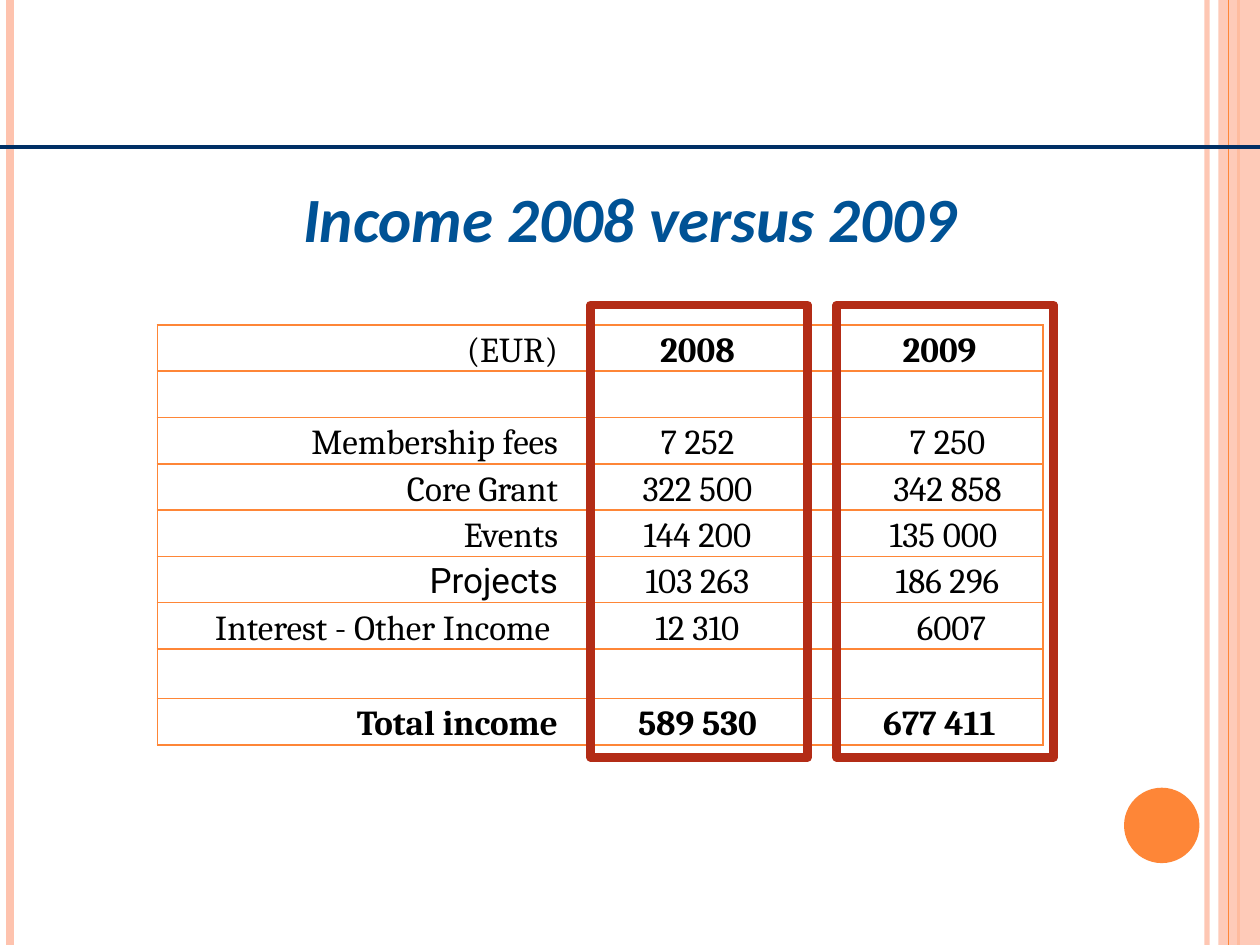
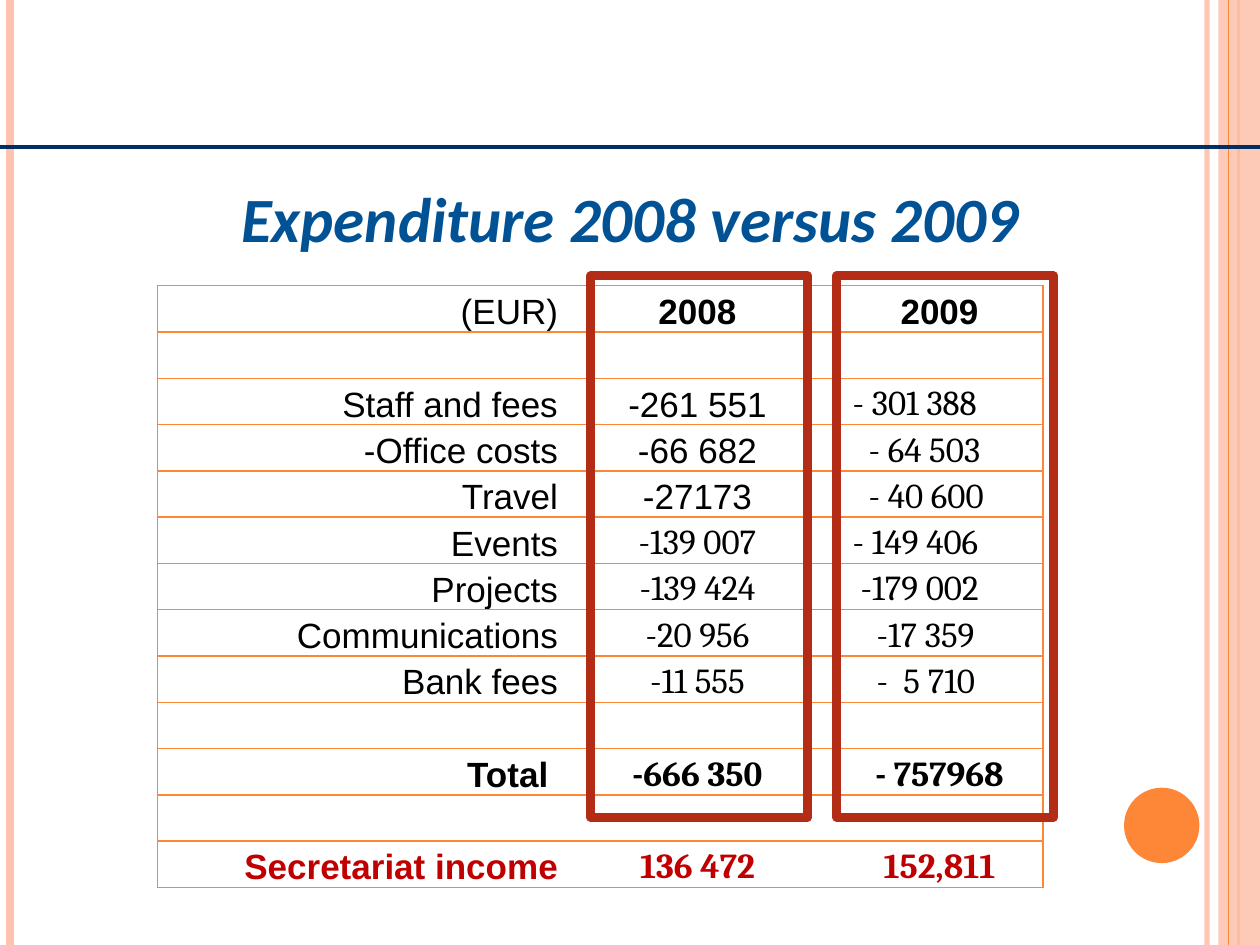
"""Build two slides comparing income and expenditure for 2008 and 2009."""
from lxml import etree
from pptx import Presentation
from pptx.dml.color import RGBColor
from pptx.enum.shapes import MSO_CONNECTOR, MSO_SHAPE
from pptx.enum.text import MSO_ANCHOR, MSO_AUTO_SIZE, PP_ALIGN
from pptx.oxml.ns import qn
from pptx.util import Cm, Pt

LEFT, CENTER, RIGHT = PP_ALIGN.LEFT, PP_ALIGN.CENTER, PP_ALIGN.RIGHT
MIDDLE, BOTTOM = MSO_ANCHOR.MIDDLE, MSO_ANCHOR.BOTTOM
STRAIGHT = MSO_CONNECTOR.STRAIGHT
RECTANGLE, OVAL = MSO_SHAPE.RECTANGLE, MSO_SHAPE.OVAL

COLORS = {
    "orange": "FE8637",
    "peach": "FEC3AE",
    "navy": "002F65",
    "title": "005295",
    "frame": "B32C16",
    "result": "C00000",
    "text": "000000",
    "paper": "FFFFFF",
}
FONTS = {"A": "Arial", "C": "Cambria", "R": "Roboto"}

# Row: label, 2008, 2009, font key per column, row kind, 2009 indent in spaces, 2009 alignment
BLANK = ("", "", "", "CCC", "plain", 0, CENTER)
STATEMENTS = [
    {
        "title": "Income 2008 versus 2009",
        "top": 6.55,
        "frame": (6.15, 9.12),
        "last_gap": 1,
        "rows": [
            ("(EUR)", "2008", "2009", "CCC", "header", 0, CENTER),
            BLANK,
            ("Membership fees", "7 252", "7 250", "CCC", "plain", 2, CENTER),
            ("Core Grant", "322 500", "342 858", "CCC", "plain", 2, CENTER),
            ("Events", "144 200", "135 000", "CCC", "plain", 1, CENTER),
            ("Projects", "103 263", "186 296", "RCC", "plain", 2, CENTER),
            ("Interest - Other Income ", "12 310", "6007", "CCC", "plain", 3, CENTER),
            BLANK,
            ("Total income", "589 530", "677 411", "CCC", "total", 0, CENTER),
        ],
    },
    {
        "title": "Expenditure 2008 versus 2009",
        "top": 5.76,
        "frame": (5.56, 10.92),
        "last_gap": 0.93,
        "rows": [
            ("(EUR)", "2008", "2009", "AAA", "header", 0, CENTER),
            BLANK,
            ("Staff and fees", "-261 551", "- 301 388", "AAC", "plain", 2, LEFT),
            ("-Office costs", "-66 682", "- 64 503", "AAC", "plain", 4, LEFT),
            ("Travel", "-27173", "- 40 600", "AAC", "plain", 4, LEFT),
            ("Events", "-139 007", "- 149 406", "ACC", "plain", 2, LEFT),
            ("Projects", "-139 424", "-179 002", "ACC", "plain", 3, LEFT),
            ("Communications", "-20 956", "-17 359", "ACC", "plain", 5, LEFT),
            ("Bank fees", "-11 555", "-  5 710", "ACC", "plain", 5, LEFT),
            BLANK,
            ("Total ", "-666 350", "- 757968", "ACC", "total", 0, CENTER),
            BLANK,
            ("Secretariat income", "136 472", "152,811", "ACC", "result", 0, CENTER),
        ],
    },
]

SLIDE_W, SLIDE_H = Cm(25.4), Cm(19.05)
TABLE_LEFT = Cm(3.17)
COLUMN_WIDTHS = [Cm(8.1), Cm(5.58), Cm(4.18)]
ROW_HEIGHT = Cm(12.14) // 13
SPACE_WIDTH = Cm(0.16)
CELL_INSET = Cm(0.02)
FRAME_LEFTS, FRAME_WIDTH = [Cm(16.87), Cm(11.91)], Cm(4.37)
SIDE_LINES = [(24.33, 3, 93), (0.2, 4.5, 100), (24.97, 1.5, 100)]


def rgb(color):
    return RGBColor.from_string(COLORS[color])


def write(frame, text, *, font, size, color="text", bold=False, italic=False, align=CENTER):
    paragraph = frame.paragraphs[0]
    paragraph.alignment = align
    if text:
        run = paragraph.add_run()
        run.text = text
        run.font.name, run.font.size = font, Pt(size)
        run.font.bold, run.font.italic = bold, italic
        run.font.color.rgb = rgb(color)


def set_opacity(fill, percent):
    color = fill._xPr.find(qn("a:solidFill"))[0]
    etree.SubElement(color, qn("a:alpha"), val=str(percent * 1000))


def add_rule(slide, start, end, color, width, opacity=100):
    rule = slide.shapes.add_connector(STRAIGHT, *start, *end)
    rule.line.color.rgb = rgb(color)
    rule.line.width = Pt(width)
    if opacity < 100:
        set_opacity(rule.line.fill, opacity)
    etree.SubElement(rule._element.spPr, qn("a:effectLst"))


def add_figure(slide, kind, left, top, width, height, fill=None, outline=None, opacity=100):
    figure = slide.shapes.add_shape(kind, left, top, width, height)
    figure.shadow.inherit = False
    if fill:
        figure.fill.solid()
        figure.fill.fore_color.rgb = rgb(fill)
        if opacity < 100:
            set_opacity(figure.fill, opacity)
    else:
        figure.fill.background()
    if outline:
        figure.line.color.rgb = rgb(outline)
        figure.line.width = Pt(5)
    else:
        figure.line.fill.background()


def add_side_line(slide, x, width, color, opacity=100):
    add_rule(slide, (Cm(x), 0), (Cm(x), SLIDE_H), color, width, opacity)


def add_background(slide):
    for (x, width, opacity), color in zip(SIDE_LINES, ("peach", "peach", "orange")):
        add_side_line(slide, x, width, color, opacity)
    add_figure(slide, RECTANGLE, Cm(24.56), 0, Cm(0.84), SLIDE_H, fill="peach", opacity=87)
    add_side_line(slide, 24.77, 0.75, "orange")
    add_figure(slide, OVAL, Cm(22.66), Cm(15.88), Cm(1.52), Cm(1.52), fill="orange")
    add_rule(slide, (0, Cm(2.96)), (SLIDE_W, Cm(2.96)), "navy", 2.25)


def set_title(slide, text):
    title = slide.shapes.title
    title.left, title.top, title.width, title.height = 0, Cm(3.53), SLIDE_W, Cm(1.7)
    frame = title.text_frame
    frame.auto_size = MSO_AUTO_SIZE.NONE
    frame.word_wrap = False
    frame.vertical_anchor = MIDDLE
    write(frame, text, font="Calibri", size=36, color="title", bold=True, italic=True)


def set_borders(cell, visible):
    properties = cell._tc.get_or_add_tcPr()
    for side in "LRTB":
        border = etree.SubElement(properties, qn(f"a:ln{side}"), w=str(Pt(1)))
        if side in visible:
            fill = etree.SubElement(border, qn("a:solidFill"))
            etree.SubElement(fill, qn("a:srgbClr"), val=COLORS["orange"])
        else:
            etree.SubElement(border, qn("a:noFill"))


def fill_cell(cell, text, borders, indent, **text_format):
    set_borders(cell, borders)
    cell.fill.solid()
    cell.fill.fore_color.rgb = rgb("paper")
    cell.vertical_anchor = BOTTOM
    cell.margin_left = CELL_INSET + indent * SPACE_WIDTH
    cell.margin_right = cell.margin_top = CELL_INSET
    cell.margin_bottom = 0
    write(cell.text_frame, text, size=20, **text_format)


def add_statement(slide, rows, top, last_gap):
    heights = [ROW_HEIGHT] * len(rows)
    heights[-2] = Cm(last_gap)
    table = slide.shapes.add_table(
        len(rows), 3, TABLE_LEFT, Cm(top), sum(COLUMN_WIDTHS), sum(heights)
    ).table
    table.first_row = table.horz_banding = False
    for column, width in zip(table.columns, COLUMN_WIDTHS):
        column.width = width
    for row_index, (*texts, fonts, kind, indent, last_align) in enumerate(rows):
        table.rows[row_index].height = heights[row_index]
        aligns = (RIGHT, CENTER, last_align)
        for column_index, text in enumerate(texts):
            fill_cell(
                table.cell(row_index, column_index),
                text,
                ("LTB", "TB", "RTB")[column_index],
                indent if column_index == 2 else 0,
                font=FONTS[fonts[column_index]],
                color="result" if kind == "result" else "text",
                bold=kind in ("total", "result") or (kind == "header" and column_index > 0),
                align=aligns[column_index],
            )


def main():
    deck = Presentation()
    deck.slide_width, deck.slide_height = SLIDE_W, SLIDE_H
    title_only = deck.slide_layouts[5]
    for statement in STATEMENTS:
        slide = deck.slides.add_slide(title_only)
        add_background(slide)
        set_title(slide, statement["title"])
        add_statement(slide, statement["rows"], statement["top"], statement["last_gap"])
        frame_top, frame_height = statement["frame"]
        for left in FRAME_LEFTS:
            add_figure(slide, RECTANGLE, left, Cm(frame_top), FRAME_WIDTH, Cm(frame_height),
                       outline="frame")
    deck.save("out.pptx")


if __name__ == "__main__":
    main()
